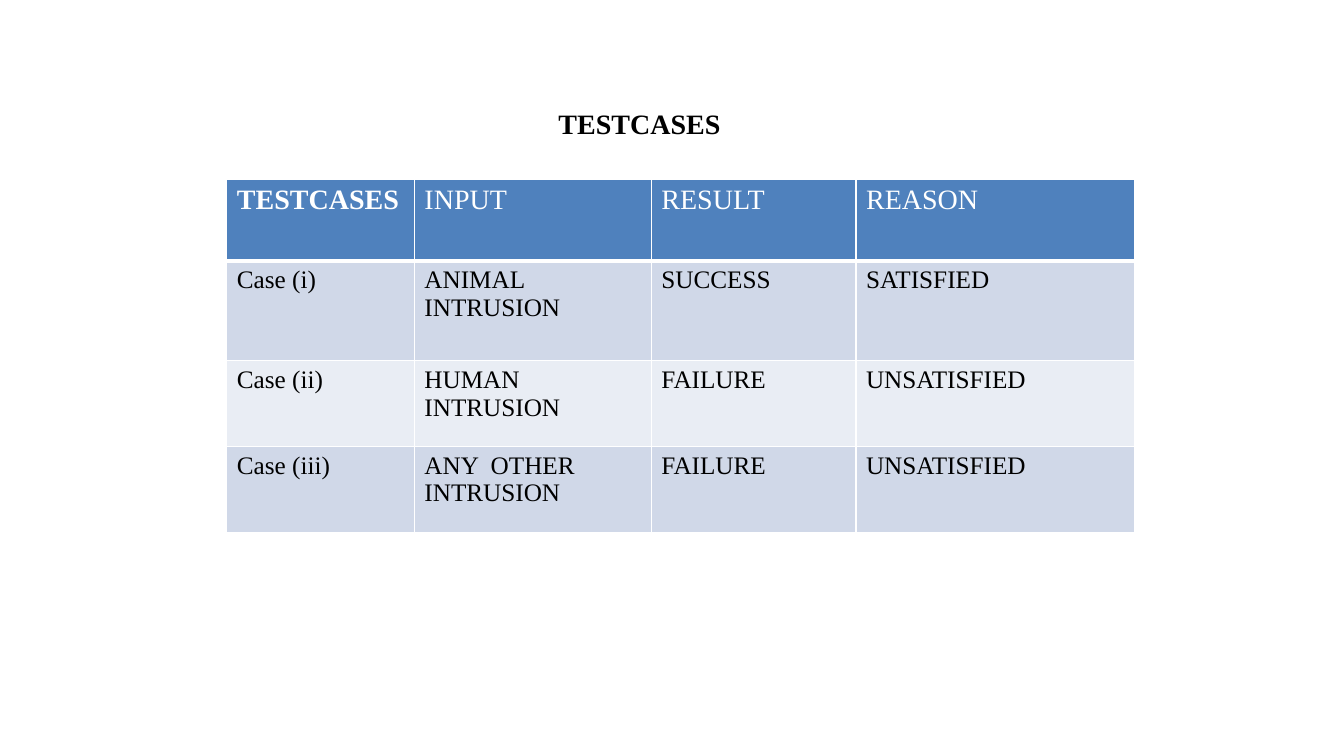
from lxml import etree
from pptx import Presentation
from pptx.dml.color import RGBColor
from pptx.oxml.ns import qn
from pptx.util import Inches, Pt

# Content
TITLE = "TESTCASES"
ROWS = [
    ("TESTCASES", "INPUT", "RESULT", "REASON"),
    ("Case (i)", "ANIMAL INTRUSION", "SUCCESS", "SATISFIED"),
    ("Case (ii)", "HUMAN INTRUSION", "FAILURE", "UNSATISFIED"),
    ("Case (iii)", "ANY  OTHER INTRUSION", "FAILURE", "UNSATISFIED"),
]

# Layout and style
COLUMN_WIDTHS = (1.86, 2.35, 2.03, 2.76)
ROW_HEIGHTS = (0.81, 0.99, 0.85, 0.85)
FONT = "Times New Roman"
WHITE, BLACK = "FFFFFF", "000000"
HEADER_FILL = "4F81BD"
BAND_FILLS = ("E9EDF4", "D0D8E8")


def color(value):
    return RGBColor.from_string(value)


def style_text(frame, size, text_color, bold):
    font = frame.paragraphs[0].font
    font.name = FONT
    font.size = Pt(size)
    font.bold = bold
    font.color.rgb = color(text_color)


def add_borders(cell, bottom_width):
    properties = cell._tc.get_or_add_tcPr()
    for side, width in (("L", 1), ("R", 1), ("T", 1), ("B", bottom_width)):
        line = etree.SubElement(properties, qn(f"a:ln{side}"), w=str(Pt(width)))
        fill = etree.SubElement(line, qn("a:solidFill"))
        etree.SubElement(fill, qn("a:srgbClr"), val=WHITE)


deck = Presentation()
deck.slide_width, deck.slide_height = Inches(13.33), Inches(7.5)
page = deck.slides.add_slide(deck.slide_layouts[6])

# Table of test cases
table = page.shapes.add_table(
    len(ROWS), len(COLUMN_WIDTHS), Inches(2.25), Inches(1.78),
    Inches(sum(COLUMN_WIDTHS)), Inches(sum(ROW_HEIGHTS))).table
for column, width in zip(table.columns, COLUMN_WIDTHS):
    column.width = Inches(width)
for row, height in zip(table.rows, ROW_HEIGHTS):
    row.height = Inches(height)

for row_index, texts in enumerate(ROWS):
    header = row_index == 0
    for column_index, text in enumerate(texts):
        cell = table.cell(row_index, column_index)
        cell.text = text
        style_text(cell.text_frame, 20 if header else 18,
                   WHITE if header else BLACK, header and column_index == 0)
        add_borders(cell, 3 if header else 1)
        cell.fill.solid()
        cell.fill.fore_color.rgb = color(
            HEADER_FILL if header else BAND_FILLS[row_index % 2])

# Title
box = page.shapes.add_textbox(Inches(5.44), Inches(1.01), Inches(3.04), Inches(0.44))
box.text_frame.word_wrap = True
box.text_frame.text = TITLE
style_text(box.text_frame, 20, BLACK, True)

deck.save("out.pptx")
